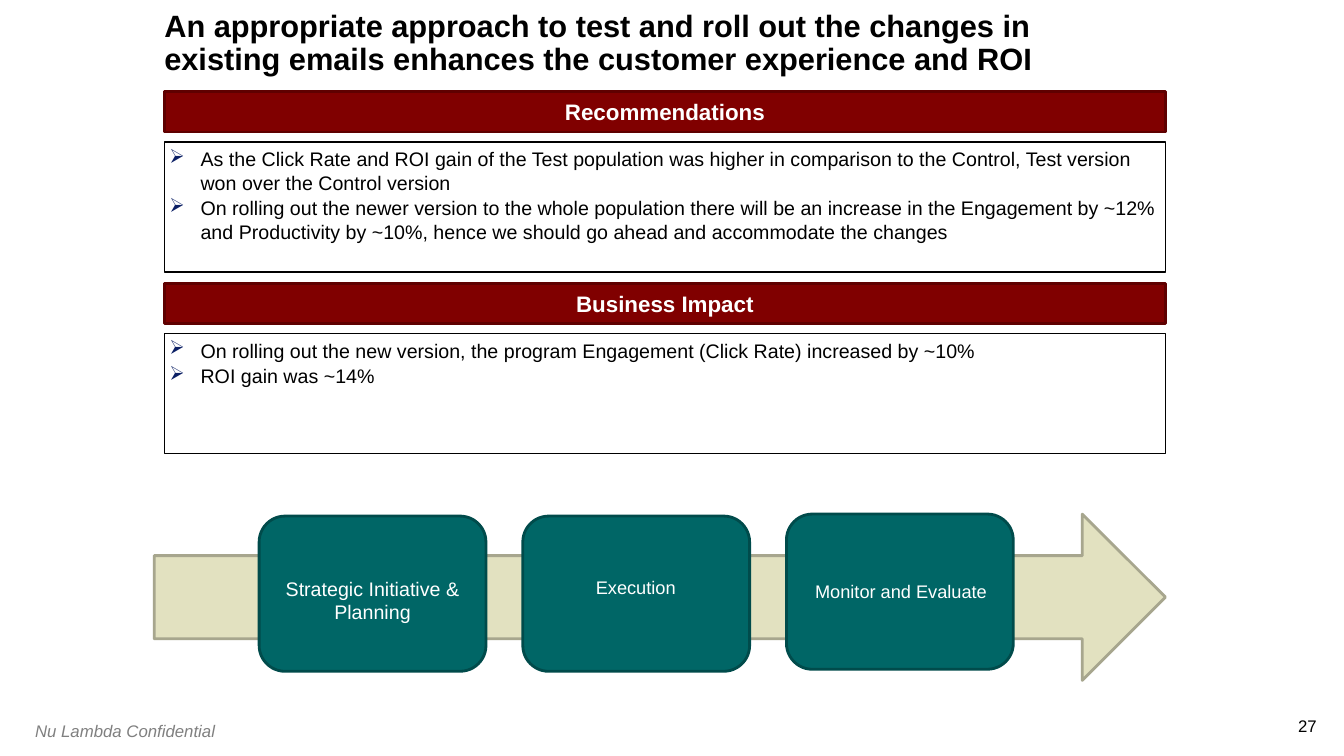
from lxml import etree
from pptx import Presentation
from pptx.dml.color import RGBColor
from pptx.enum.shapes import MSO_SHAPE
from pptx.enum.text import MSO_ANCHOR, PP_ALIGN
from pptx.oxml.ns import qn
from pptx.util import Inches, Pt

RECTANGLE = MSO_SHAPE.RECTANGLE
ROUNDED = MSO_SHAPE.ROUNDED_RECTANGLE
RIGHT_ARROW = MSO_SHAPE.RIGHT_ARROW
TOP, MIDDLE, BOTTOM = MSO_ANCHOR.TOP, MSO_ANCHOR.MIDDLE, MSO_ANCHOR.BOTTOM
LEFT, CENTER, RIGHT = PP_ALIGN.LEFT, PP_ALIGN.CENTER, PP_ALIGN.RIGHT

BLACK = RGBColor(0x00, 0x00, 0x00)
WHITE = RGBColor(0xFF, 0xFF, 0xFF)
GRAY = RGBColor(0x80, 0x80, 0x80)
MAROON = RGBColor(0x80, 0x00, 0x00)
DARK_MAROON = RGBColor(0x5F, 0x00, 0x00)
SAND = RGBColor(0xE2, 0xE1, 0xC0)
DARK_SAND = RGBColor(0xA7, 0xA6, 0x8E)
TEAL = RGBColor(0x00, 0x66, 0x66)
DARK_TEAL = RGBColor(0x00, 0x4B, 0x4B)
NAVY = RGBColor(0x0B, 0x1F, 0x65)

CONTENT_LEFT, CONTENT_WIDTH = 1.63, 9.93

presentation = Presentation()
presentation.slide_width = Inches(13.33)
presentation.slide_height = Inches(7.5)
slide = presentation.slides.add_slide(presentation.slide_layouts[6])


def add_box(kind, left, top, width, height, fill, line, line_width=2):
    """Add a preset shape, or a text box when kind is None."""
    place = [Inches(value) for value in (left, top, width, height)]
    if kind is None:
        return slide.shapes.add_textbox(*place)
    shape = slide.shapes.add_shape(kind, *place)
    shape.shadow.inherit = False
    shape.fill.solid()
    shape.fill.fore_color.rgb = fill
    shape.line.color.rgb = line
    shape.line.width = Pt(line_width)
    return shape


def write(shape, lines, size, color, align=LEFT, anchor=TOP, inset=None, wrap=True):
    """Fill the shape with one paragraph per line and return the paragraphs."""
    frame = shape.text_frame
    frame.word_wrap = wrap
    frame.vertical_anchor = anchor
    if inset is not None:
        frame.margin_left = frame.margin_right = Inches(inset)
        frame.margin_top = frame.margin_bottom = Inches(inset)
    frame.text = "\n".join(lines)
    for paragraph in frame.paragraphs:
        paragraph.alignment = align
        paragraph.font.name = "Arial"
        paragraph.font.size = Pt(size)
        paragraph.font.color.rgb = color
    return frame.paragraphs


# Title and footer
title = add_box(None, CONTENT_LEFT, 0.21, 9.75, 0.56, None, None)
title_text = "An appropriate approach to test and roll out the changes in existing emails enhances the customer experience and ROI"
title_paragraph = write(title, [title_text], 22, BLACK, anchor=BOTTOM, inset=0)[0]
title_paragraph.font.bold = True
title_paragraph.line_spacing = 0.9

page_number = add_box(None, 12.85, 7.1, 0.21, 0.2, None, None)
write(page_number, ["27"], 12, BLACK, RIGHT, inset=0, wrap=False)

footer = add_box(None, 0.25, 7.1, 2.46, 0.3, None, None)
write(footer, ["Nu Lambda Confidential"], 12, GRAY)[0].font.italic = True

# Headed sections: heading, top, body height, bullets
sections = [
    ("Recommendations", 0.91, 1.29, [
        "As the Click Rate and ROI gain of the Test population was higher in comparison to the Control, Test version won over the Control version",
        "On rolling out the newer version to the whole population there will be an increase in the Engagement by ~12% and Productivity by ~10%, hence we should go ahead and accommodate the changes",
    ]),
    ("Business Impact", 2.81, 1.19, [
        "On rolling out the new version, the program Engagement (Click Rate) increased by ~10%",
        "ROI gain was ~14%",
    ]),
]
for heading, top, body_height, bullets in sections:
    banner = add_box(RECTANGLE, CONTENT_LEFT, top, CONTENT_WIDTH, 0.4, MAROON, DARK_MAROON)
    write(banner, [heading], 16, WHITE, CENTER, MIDDLE, wrap=False)[0].font.bold = True

    body = add_box(RECTANGLE, CONTENT_LEFT, top + 0.5, CONTENT_WIDTH, body_height, WHITE, BLACK, 1)
    for paragraph in write(body, bullets, 14, BLACK, inset=0.05):
        paragraph.space_before = Pt(1.4)
        properties = paragraph._p.get_or_add_pPr()
        properties.set("marL", str(Inches(0.31)))
        properties.set("indent", str(Inches(-0.31)))
        bullet_color = etree.Element(qn("a:buClr"))
        etree.SubElement(bullet_color, qn("a:srgbClr"), val=str(NAVY))
        bullet = etree.Element(qn("a:buChar"), char="➢")
        position = list(properties).index(properties.find(qn("a:spcBef"))) + 1
        properties[position:position] = [bullet_color, bullet]

# Process arrow with its three stages
add_box(RIGHT_ARROW, 1.53, 5.1, 10.03, 1.65, SAND, DARK_SAND)

# Label, stage top, label left, label top, label width, label height, text size
stages = [
    ("Strategic Initiative & Planning", 5.12, 2.7, 5.67, 1.99, 0.57, 14),
    ("Execution", 5.12, 5.66, 5.67, 1.29, 0.32, 13),
    ("Monitor and Evaluate", 5.1, 7.94, 5.71, 1.99, 0.32, 13),
]
for index, (label, top, *label_place, size) in enumerate(stages):
    add_box(ROUNDED, 2.57 + index * 2.615, top, 2.25, 1.54, TEAL, DARK_TEAL)
    caption = add_box(None, *label_place, None, None)
    write(caption, [label], size, WHITE, CENTER)[0].space_before = Pt(size / 10)

presentation.save("out.pptx")
